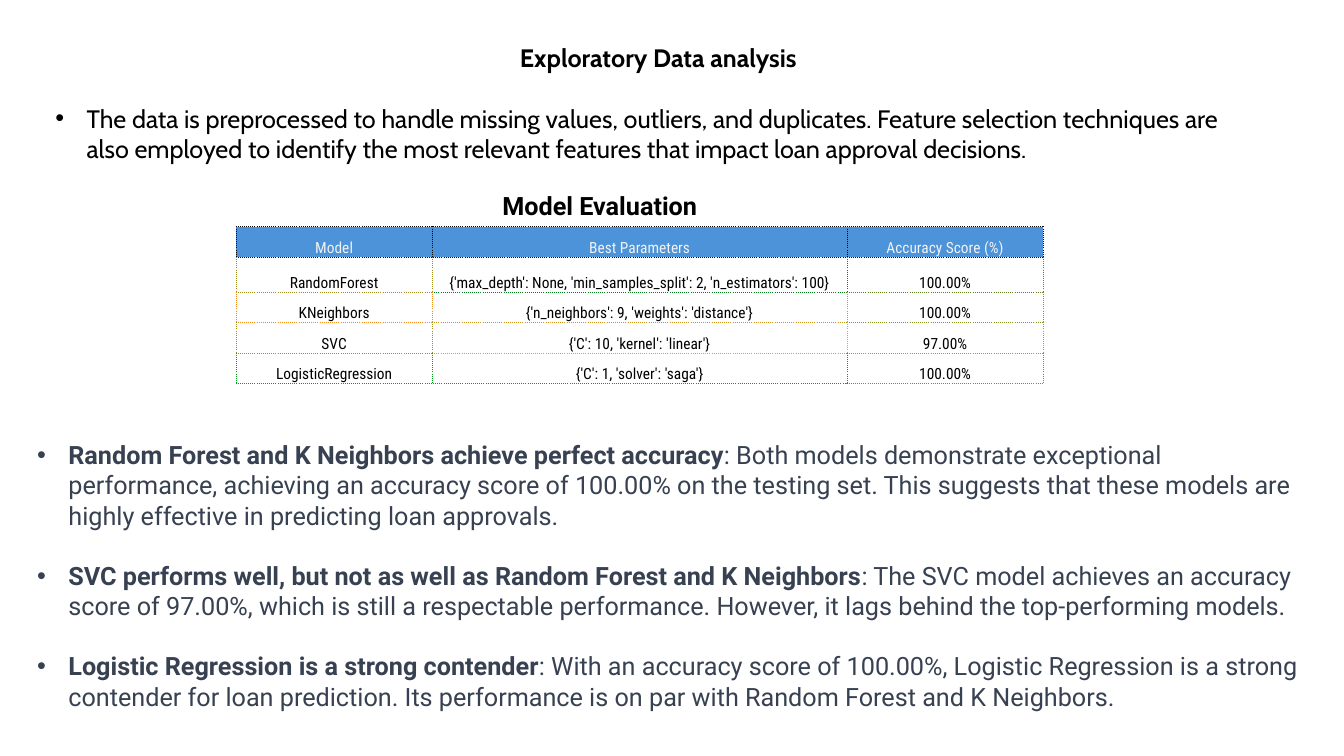
"""Build the loan model evaluation slide; lengths are percentages of the slide size."""
from dataclasses import dataclass

import lxml.etree
import pptx
import pptx.dml.color
import pptx.enum.text
import pptx.oxml.ns
import pptx.util

ALIGN = pptx.enum.text.PP_ALIGN
BLACK, SLATE, HEADER_FILL, HEADER_TEXT = "000000", "374151", "4D93D9", "F2F2F2"
INDENT = pptx.util.Inches(0.31)

prs = pptx.Presentation()
prs.slide_width = pptx.util.Inches(13.33)
prs.slide_height = pptx.util.Inches(7.5)


@dataclass
class Para:
    """A paragraph with an optional bold lead before plain text."""
    lead: str = ""
    text: str = ""
    bullet: bool = True
    gap: float = 0


@dataclass
class Block:
    """A text box whose paragraphs share one font and colour."""
    box: tuple[float, float, float, float]
    font: str
    color: str
    paras: list[Para]


BLOCKS = [
    Block((3.38, 4.93, 91.2, 17.47), "Cabin", BLACK, [
        Para("Exploratory Data analysis", bullet=False),
        Para(text="The data is preprocessed to handle missing values, outliers, and duplicates. "
             "Feature selection techniques are also employed to identify the most relevant "
             "features that impact loan approval decisions.", gap=21.8),
    ]),
    Block((19.65, 24.53, 49.95, 5.33), "Roboto", BLACK, [Para("Model Evaluation", bullet=False)]),
    Block((2.03, 57.47, 95.93, 37.73), "Roboto", SLATE, [
        Para("Random Forest and K Neighbors achieve perfect accuracy",
             ": Both models demonstrate exceptional performance, achieving an accuracy score of "
             "100.00% on the testing set. This suggests that these models are highly effective "
             "in predicting loan approvals."),
        Para("SVC performs well, but not as well as Random Forest and K Neighbors",
             ": The SVC model achieves an accuracy score of 97.00%, which is still a respectable "
             "performance. However, it lags behind the top-performing models.", gap=21.5),
        Para("Logistic Regression is a strong contender",
             ": With an accuracy score of 100.00%, Logistic Regression is a strong contender for "
             "loan prediction. Its performance is on par with Random Forest and K Neighbors.",
             gap=21.5),
    ]),
]

TABLE_LEFT, TABLE_TOP = 17.55, 30
COL_WIDTHS = [14.63, 30.83, 14.63]
ROW_HEIGHTS = [4.03, 4.6, 4.03, 4.03, 4.03]
ROWS = [
    ("Model", "Best Parameters", "Accuracy Score (%)"),
    ("RandomForest", "{'max_depth': None, 'min_samples_split': 2, 'n_estimators': 100}", "100.00%"),
    ("KNeighbors", "{'n_neighbors': 9, 'weights': 'distance'}", "100.00%"),
    ("SVC", "{'C': 10, 'kernel': 'linear'}", "97.00%"),
    ("LogisticRegression", "{'C': 1, 'solver': 'saga'}", "100.00%"),
]
BORDERS = [
    (BLACK, BLACK, BLACK),
    ("A08A1C", "00821C", "60821C"),
    ("F08E1C", "D0931C", "80951C"),
    ("A08D1C", "F09D1C", "B09B1C"),
    ("00A01C", "00A01C", "609D1C"),
]


def rgb(color: str) -> pptx.dml.color.RGBColor:
    """Turn a hex string into a colour."""
    return pptx.dml.color.RGBColor.from_string(color)


def across(share: float) -> int:
    """Convert a percentage of the slide width."""
    return round(prs.slide_width * share / 100)


def down(share: float) -> int:
    """Convert a percentage of the slide height."""
    return round(prs.slide_height * share / 100)


def add_xml(parent, tag: str, **attrs: str):
    """Append a DrawingML element and return it."""
    return lxml.etree.SubElement(parent, pptx.oxml.ns.qn(tag), attrs)


def add_run(p, text: str, font: str, size: float, color: str, bold: bool = False) -> None:
    """Append one formatted run to a paragraph."""
    r = p.add_run()
    r.text = text
    r.font.name, r.font.size, r.font.bold = font, pptx.util.Pt(size), bold
    r.font.color.rgb = rgb(color)


def add_block(s, block: Block) -> None:
    """Draw a text box with its paragraphs."""
    x, y, w, h = block.box
    tf = s.shapes.add_textbox(across(x), down(y), across(w), down(h)).text_frame
    tf.word_wrap = True
    tf.auto_size = pptx.enum.text.MSO_AUTO_SIZE.SHAPE_TO_FIT_TEXT
    for i, para in enumerate(block.paras):
        p = tf.add_paragraph() if i else tf.paragraphs[0]
        if para.bullet:
            pPr = p._p.get_or_add_pPr()
            pPr.set("marL", str(INDENT))
            pPr.set("indent", str(-INDENT))
            add_xml(pPr, "a:buFont", typeface="Arial")
            add_xml(pPr, "a:buChar", char="•")
        else:
            p.alignment = ALIGN.CENTER
        if para.gap:
            p.space_before = pptx.util.Pt(para.gap)
        for text, bold in ((para.lead, True), (para.text, False)):
            if text:
                add_run(p, text, block.font, 18, block.color, bold)


def set_borders(cell, row: int, col: int) -> None:
    """Dot the cell edges, sharing colours with the cells above and to the left."""
    own = BORDERS[row][col]
    edges = {"L": BORDERS[row][max(col - 1, 0)], "R": own,
             "T": BORDERS[max(row - 1, 0)][col], "B": own}
    for side, color in edges.items():
        ln = add_xml(cell._tc.get_or_add_tcPr(), f"a:ln{side}", w=str(pptx.util.Pt(0.5)))
        add_xml(add_xml(ln, "a:solidFill"), "a:srgbClr", val=color)
        add_xml(ln, "a:prstDash", val="dot")


def add_scores(s) -> None:
    """Draw the table of models, parameters and scores."""
    table = s.shapes.add_table(
        len(ROWS), len(COL_WIDTHS), across(TABLE_LEFT), down(TABLE_TOP),
        across(sum(COL_WIDTHS)), down(sum(ROW_HEIGHTS))).table
    table.first_row = table.horz_banding = False
    for column, width in zip(table.columns, COL_WIDTHS):
        column.width = across(width)
    for i, (height, texts) in enumerate(zip(ROW_HEIGHTS, ROWS)):
        table.rows[i].height = down(height)
        for j, text in enumerate(texts):
            cell = table.cell(i, j)
            cell.margin_left = cell.margin_right = cell.margin_top = pptx.util.Inches(0.01)
            cell.margin_bottom = 0
            cell.vertical_anchor = pptx.enum.text.MSO_ANCHOR.BOTTOM
            set_borders(cell, i, j)
            if i == 0:
                cell.fill.solid()
                cell.fill.fore_color.rgb = rgb(HEADER_FILL)
            else:
                cell.fill.background()
            p = cell.text_frame.paragraphs[0]
            p.alignment = ALIGN.CENTER
            add_run(p, text, "Roboto Condensed", 11, BLACK if i else HEADER_TEXT)


def main() -> None:
    """Build and save the slide."""
    s = prs.slides.add_slide(prs.slide_layouts[6])
    for block in BLOCKS:
        add_block(s, block)
    add_scores(s)
    prs.save("out.pptx")


if __name__ == "__main__":
    main()
